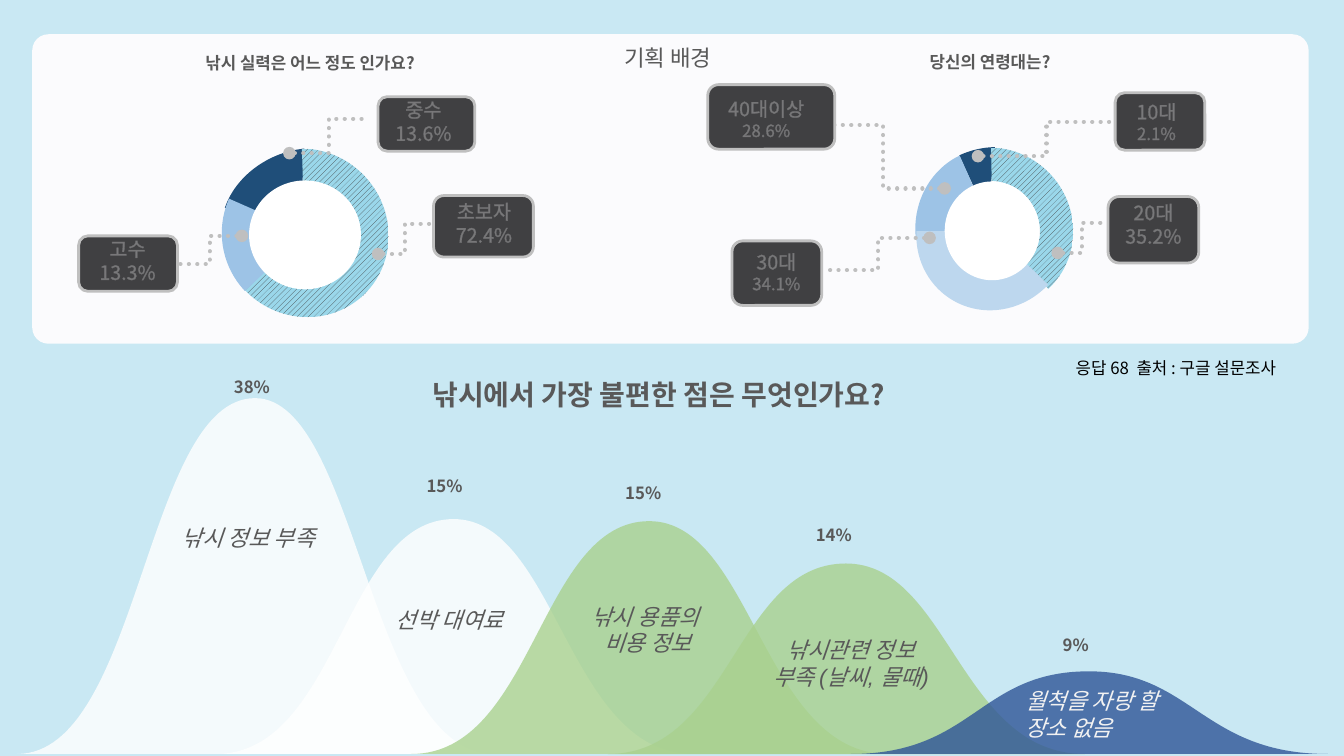
from dataclasses import dataclass
from lxml import etree
from pptx import Presentation
from pptx import util as u
from pptx.chart import data as chart_data
from pptx.dml import color
from pptx.enum import chart as charts, dml, shapes, text
from pptx.oxml import ns, parse_xml


@dataclass(frozen=True)
class Theme:
    sky: str = "C9E8F3"
    panel: str = "FBFBFD"
    ink: str = "595959"
    black: str = "000000"
    white: str = "FFFFFF"
    pale: str = "F2F2F2"
    badge: str = "404042"
    rule: str = "BFBFBF"
    glow: str = "D8D7D9"
    navy: str = "1F4E79"
    aqua: str = "9AD7EA"
    blue: str = "9DC3E6"
    mist: str = "BDD7EE"
    green: str = "A9D18E"
    deep: str = "2F5597"
    sans: str = "Noto Sans CJK KR"
    latin: str = "Arial"
    title: int = 20
    large: int = 16
    label: int = 14
    small: int = 12


theme = Theme()
heading = "낚시에서 가장 불편한 점은 무엇인가요?"
captions = [
    ("낚시 실력은 어느 정도 인가요?", (1.38, 0.47, 3.39, 0.3), text.PP_ALIGN.CENTER),
    ("당신의 연령대는?", (8.85, 0.46, 1.94, 0.3), text.PP_ALIGN.CENTER),
]
source_note = ("응답 68  출처 : 구글 설문조사", (10.57, 3.5, 2.49, 0.3))

rings = [
    ((2.17, 1.5, 1.62, 1.32), 334.8, (127.63, 179.05, 0.26), theme.navy),
    ((2.2, 1.46, 1.64, 1.7), 137, (78.73, 0.06, 0.2), None),
    ((2.2, 1.47, 1.68, 1.68), 261.6, (141.03, 181.33, 0.21), theme.blue),
    ((9.02, 1.48, 1.55, 1.34), 334.8, (162.22, 180.71, 0.26), theme.navy),
    ((9.06, 1.45, 1.57, 1.63), 137, (79.11, 162.24, 0.21), None),
    ((9.03, 1.52, 1.63, 1.53), 261.6, (163.47, 206.82, 0.22), theme.blue),
    ((9.1, 1.5, 1.51, 1.59), 213.5, (114.59, 196.05, 0.22), theme.mist),
]
holes = [(2.47, 1.79, 1.11, 1.08), (9.37, 1.8, 0.94, 0.98)]
leaders = [
    ((2.4, 2.34), (1.76, 2.62)),
    ((3.75, 2.52), (4.28, 2.22)),
    ((2.87, 1.52), (3.65, 1.18)),
    ((9.22, 2.36), (8.2, 2.68)),
    ((9.7, 1.55), (11.06, 1.21)),
    ((10.49, 2.51), (10.97, 2.21)),
    ((9.37, 1.87), (8.15, 1.24)),
]
badges = [
    ((0.78, 2.34, 0.98, 0.55), (0.84, 2.3, 0.85, 0.57), ["고수", "13.3%"], theme.label),
    ((4.3, 1.94, 0.99, 0.61), (4.29, 1.93, 1.02, 0.57), ["초보자72.4%"], theme.label),
    ((3.75, 0.96, 0.96, 0.54), (3.77, 0.92, 0.86, 0.57), ["중수", "13.6%"], theme.label),
    ((10.99, 1.95, 0.9, 0.66), (10.98, 1.94, 0.92, 0.57), ["20대", "35.2%"], theme.label),
    ((11.06, 0.92, 0.89, 0.57), (11.08, 0.94, 0.78, 0.74), ["10대", "2.1%"], theme.small),
    ((7.26, 2.39, 0.89, 0.64), (7.26, 2.43, 0.88, 0.54), ["30대", "34.1%"], theme.small),
    ((7.02, 0.84, 1.26, 0.64), (6.98, 0.91, 1.24, 0.54), ["40대이상", "28.6%"], theme.small),
]
complaints = [
    (0.38, (2.5, 3.83), (0.17, 3.95), theme.white, "낚시 정보 부족", (1.6, 5.15, 1.73, 0.37)),
    (0.15, (4.41, 4.81), (2.14, 5.15), theme.white, "선박 대여료 ", (3.71, 5.96, 1.55, 0.37)),
    (0.15, (6.38, 4.88), (4.08, 5.17), theme.green, "낚시 용품의 \v비용 정보", (5.69, 5.93, 1.47, 0.64)),
    (0.14, (8.27, 5.3), (6.03, 5.59), theme.green, "낚시관련 정보 부족 (날씨, 물때)", (7.51, 6.26, 1.86, 0.64)),
    (0.09, (10.67, 6.39), (8.44, 6.66), theme.deep, "월척을 자랑 할 장소 없음", (10.07, 6.77, 1.65, 0.64)),
]
chart_area = (0.78, 3.41, 11.82, 4.24)
plot = (0.011, 0.069, 0.974, 0.928)
axis_top = 0.4
ground = 7.48
hill_start = (0, 1)
hill_curves = [((1.22, 1), (1.27, 0), (2.36, 0)), ((3.38, 0), (3.49, 1), (4.73, 1))]


def rgb(value):
    return color.RGBColor.from_string(value)


def inches(values):
    return [u.Inches(value) for value in values]


def add_xml(parent, tag, **attributes):
    return etree.SubElement(parent, ns.qn(tag), attributes)


def write(box, lines, size=theme.large, ink=theme.ink, font=theme.sans, bold=False, italic=False,
          align=text.PP_ALIGN.CENTER, last_size=None, glow=False):
    frame = box.text_frame
    frame.word_wrap = True
    frame.vertical_anchor = text.MSO_ANCHOR.TOP
    for number, line in enumerate(lines):
        para = frame.paragraphs[0] if number == 0 else frame.add_paragraph()
        para.text = line
        para.alignment = align
        for span in para.runs:
            span.font.size = u.Pt(last_size if number and last_size else size)
            span.font.bold, span.font.italic = bold, italic
            span.font.color.rgb = rgb(ink)
            span.font.name = font
            properties = span.font._element
            properties.set("kern", "0")
            properties.find(ns.qn("a:latin")).addnext(
                etree.Element(ns.qn("a:ea"), typeface=theme.sans))
            if glow:
                outline = etree.Element(ns.qn("a:ln"), w="9525")
                tint = add_xml(add_xml(outline, "a:solidFill"), "a:srgbClr", val=theme.glow)
                add_xml(tint, "a:alpha", val="30000")
                properties.insert(0, outline)


def add_text(page, lines, place, **style):
    write(page.shapes.add_textbox(*inches(place)), lines, **style)


def paint(shape, fill, line=None):
    shape.shadow.inherit = False
    if fill is None:
        shape.fill.patterned()
        shape.fill.pattern = dml.MSO_PATTERN.WIDE_UPWARD_DIAGONAL
        shape.fill.fore_color.rgb = rgb(theme.badge)
        shape.fill.back_color.rgb = rgb(theme.aqua)
    else:
        shape.fill.solid()
        shape.fill.fore_color.rgb = rgb(fill)
    if line:
        shape.line.color.rgb = rgb(line)
        shape.line.width = u.Pt(2)
    else:
        shape.line.fill.background()


def add_shape(page, kind, place, fill, line=None):
    shape = page.shapes.add_shape(kind, *inches(place))
    paint(shape, fill, line)
    return shape


def add_leader(page, start, end):
    leader = page.shapes.add_connector(shapes.MSO_CONNECTOR.ELBOW, *inches(start + end))
    leader.line.color.rgb = rgb(theme.rule)
    leader.line.width = u.Pt(3)
    leader.line.dash_style = dml.MSO_LINE.ROUND_DOT
    stroke = leader.line._get_or_add_ln()
    stroke.set("cap", "rnd")
    add_xml(stroke, "a:headEnd", type="oval")
    add_xml(leader._element.spPr, "a:effectLst")


def add_hill(page, left, top, fill):
    points = [hill_start] + [point for curve in hill_curves for point in curve]
    outline = [inches((left + x, top + y * (ground - top))) for x, y in points]
    builder = page.shapes.build_freeform(*outline[0], scale=1.0)
    builder.add_line_segments(outline[1:], close=True)
    hill = builder.convert_to_shape()
    paint(hill, fill)
    properties = hill._element.spPr
    segments = list(properties.iter(ns.qn("a:lnTo")))
    for first in range(0, len(segments), 3):
        curve = etree.Element(ns.qn("a:cubicBezTo"))
        segments[first].addprevious(curve)
        for segment in segments[first:first + 3]:
            curve.append(segment[0])
            segment.getparent().remove(segment)
    add_xml(properties.find(".//" + ns.qn("a:srgbClr")), "a:alpha", val="80000")


def manual_layout(**values):
    parts = "".join(f'<c:{name} val="{value}"/>' for name, value in values.items())
    return parse_xml(f'<c:layout {ns.nsdecls("c")}><c:manualLayout>{parts}</c:manualLayout></c:layout>')


def style_label(label):
    label.font.size, label.font.bold = u.Pt(theme.small), True
    label.font.name = theme.sans
    label.font.color.rgb = rgb(theme.ink)
    label.position = charts.XL_LABEL_POSITION.CENTER


def add_share_chart(page):
    data = chart_data.CategoryChartData(number_format="0%")
    data.categories = [str(number + 1) for number in range(len(complaints))]
    data.add_series("Series 1", [item[0] for item in complaints])
    chart = page.shapes.add_chart(charts.XL_CHART_TYPE.LINE, *inches(chart_area), data).chart
    chart.has_legend = chart.has_title = False
    chart.font.size, chart.font.name = u.Pt(10), theme.sans
    chart.font.color.rgb = rgb(theme.black)
    chart.value_axis.minimum_scale, chart.value_axis.maximum_scale = 0, axis_top
    chart.value_axis.has_major_gridlines = False
    chart.value_axis.visible = chart.category_axis.visible = False
    plot_area = chart._chartSpace.chart.plotArea
    for old in plot_area.findall(ns.qn("c:layout")):
        plot_area.remove(old)
    x, y, w, h = plot
    plot_area.insert(0, manual_layout(layoutTarget="inner", xMode="edge", yMode="edge", x=x, y=y, w=w, h=h))
    chart.plots[0].vary_by_categories = False
    series = chart.plots[0].series[0]
    series.smooth = False
    series.format.line.fill.background()
    series.marker.style = charts.XL_MARKER_STYLE.NONE
    left, top, width, height = chart_area
    for number, (value, (label_x, label_y), *_) in enumerate(complaints):
        label = series.points[number].data_label
        style_label(label)
        home_x = x + w * (number + 0.5) / len(complaints)
        home_y = y + h * (1 - value / axis_top)
        shift = manual_layout(x=round((label_x - left) / width - home_x, 4),
                              y=round((label_y - top) / height - home_y, 4))
        label._dLbl.find(ns.qn("c:idx")).addnext(shift)
    style_label(series.data_labels)
    series.data_labels.show_value = True
    series.data_labels.number_format = "0%"
    series.data_labels.number_format_is_linked = False
    for flag in plot_area.iter(ns.qn("c:showLeaderLines")):
        flag.set("val", "0")


def main():
    deck = Presentation()
    deck.slide_width, deck.slide_height = inches((13.33, 7.5))
    page = deck.slides.add_slide(deck.slide_layouts[5])
    page.background.fill.solid()
    page.background.fill.fore_color.rgb = rgb(theme.sky)
    title = page.shapes.title
    title.left, title.top, title.width, title.height = inches((2.87, 3.69, 7.33, 0.44))
    write(title, [heading], size=theme.title, bold=True)
    rounded = shapes.MSO_SHAPE.ROUNDED_RECTANGLE
    panel = add_shape(page, rounded, (0.32, 0.34, 12.66, 3.07), theme.panel)
    panel.adjustments[0] = 0.052
    write(panel, ["기획 배경 "])
    for place, angle, adjustments, fill in rings:
        ring = add_shape(page, shapes.MSO_SHAPE.BLOCK_ARC, place, fill)
        ring.rotation = angle
        for index, value in enumerate(adjustments):
            ring.adjustments[index] = value
    for place in holes:
        add_shape(page, shapes.MSO_SHAPE.OVAL, place, theme.white)
    for start, end in leaders:
        add_leader(page, start, end)
    for place, text_place, lines, last_size in badges:
        add_shape(page, rounded, place, theme.badge, theme.rule)
        add_text(page, lines, text_place, size=theme.label, ink=theme.white, last_size=last_size, glow=True)
    for caption, place, align in captions:
        add_text(page, [caption], place, size=theme.small, bold=True, align=align)
    note, place = source_note
    add_text(page, [note], place, size=theme.small, ink=theme.black, align=text.PP_ALIGN.LEFT)
    add_share_chart(page)
    for _, _, peak, fill, _, _ in complaints:
        add_hill(page, *peak, fill)
    for *_, fill, reason, place in complaints:
        dark = fill == theme.deep
        add_text(page, [reason], place, font=theme.latin, italic=True,
                 ink=theme.pale if dark else theme.ink,
                 align=text.PP_ALIGN.LEFT if dark else text.PP_ALIGN.CENTER)
    deck.save("out.pptx")


if __name__ == "__main__":
    main()
